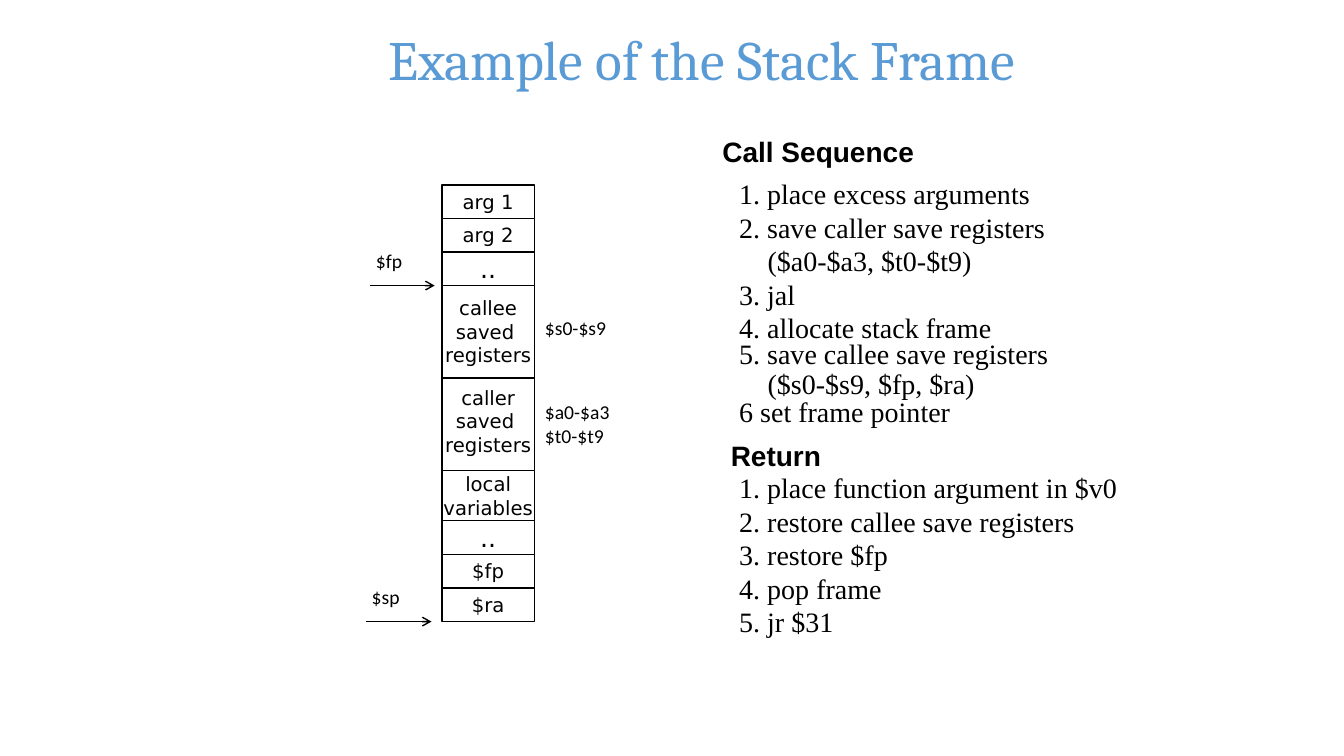
from dataclasses import dataclass
from itertools import accumulate

from pptx import Presentation
from pptx.dml.color import RGBColor
from pptx.enum.shapes import MSO_CONNECTOR, MSO_SHAPE
from pptx.enum.text import MSO_ANCHOR, MSO_AUTO_SIZE, PP_ALIGN
from pptx.oxml.ns import qn
from pptx.slide import Slide
from pptx.text.text import TextFrame
from pptx.util import Emu, Pt
from lxml.etree import SubElement


@dataclass(frozen=True)
class Face:
    font: str
    size: float
    color: str = "000000"
    bold: bool = False


@dataclass(frozen=True)
class Theme:
    title: Face = Face("Cambria", 39.6, "5B9BD5")
    head: Face = Face("Arial", 20, bold=True)
    step: Face = Face("Times New Roman", 20)
    cell: Face = Face("DejaVu Sans", 14)
    dots: Face = Face("DejaVu Sans", 18)
    note: Face = Face("Calibri", 14)
    line: str = "000000"
    weight: float = 1


THEME = Theme()


@dataclass(frozen=True)
class Label:
    text: str
    left: int
    top: int
    width: int
    height: int = 33
    face: Face = THEME.step
    pad: tuple[int, int] = (0, 0)
    indent: int = 0


@dataclass(frozen=True)
class Cell:
    text: str
    height: int = 32
    face: Face = THEME.cell
    lift: int = 0


@dataclass(frozen=True)
class Arrow:
    left: int
    top: int
    length: int = 62


def px(count: int) -> Emu:
    return Emu(count * 9525)


def rgb(color: str) -> RGBColor:
    return RGBColor.from_string(color)


def write(frame: TextFrame, text: str, face: Face, align: PP_ALIGN = PP_ALIGN.LEFT) -> None:
    frame.text = text
    for para in frame.paragraphs:
        para.alignment = align
        para.font.name = face.font
        para.font.size = Pt(face.size)
        para.font.bold = face.bold
        para.font.color.rgb = rgb(face.color)


def draw_title(slide: Slide, text: str) -> None:
    title = slide.shapes.title
    title.left, title.top, title.width, title.height = map(px, (360, 24, 704, 64))
    frame = title.text_frame
    frame.auto_size = MSO_AUTO_SIZE.NONE
    frame.vertical_anchor = MSO_ANCHOR.MIDDLE
    write(frame, text, THEME.title)


def draw_label(slide: Slide, label: Label) -> None:
    box = slide.shapes.add_textbox(*map(px, (label.left, label.top, label.width, label.height)))
    frame = box.text_frame
    frame.word_wrap = True
    frame.auto_size = MSO_AUTO_SIZE.NONE
    side, edge = label.pad
    frame.margin_left = px(side + label.indent)
    frame.margin_right = px(0)
    frame.margin_top = frame.margin_bottom = px(edge)
    write(frame, label.text, label.face)


def draw_cell(slide: Slide, cell: Cell, top: int) -> None:
    box = slide.shapes.add_shape(MSO_SHAPE.RECTANGLE, *map(px, (421, top, 88, cell.height)))
    box.shadow.inherit = False
    box.fill.background()
    box.line.color.rgb = rgb(THEME.line)
    box.line.width = Pt(THEME.weight)
    frame = box.text_frame
    frame.word_wrap = False
    frame.vertical_anchor = MSO_ANCHOR.MIDDLE
    frame.margin_bottom = px(5 + 2 * cell.lift)
    write(frame, cell.text, cell.face, PP_ALIGN.CENTER)


def draw_arrow(slide: Slide, arrow: Arrow) -> None:
    ends = (arrow.left, arrow.top, arrow.left + arrow.length, arrow.top)
    line = slide.shapes.add_connector(MSO_CONNECTOR.STRAIGHT, *map(px, ends))
    line.line.color.rgb = rgb(THEME.line)
    line.line.width = Pt(THEME.weight)
    props = line._element.spPr
    SubElement(props.find(qn("a:ln")), qn("a:tailEnd"), type="arrow")
    SubElement(props, qn("a:effectLst"))


STEP_X = 704
INDENT = 27
STACK_TOP = 176

HEADS = [
    Label("Call Sequence", 688, 128, 192, face=THEME.head),
    Label("Return", 696, 418, 96, face=THEME.head),
]
STEPS = [
    Label("1. place excess arguments", STEP_X, 168, 286),
    Label("2. save caller save registers", STEP_X, 200, 302),
    Label("($a0-$a3, $t0-$t9)", STEP_X, 232, 232, indent=INDENT),
    Label("3. jal", STEP_X, 264, 62),
    Label("4. allocate stack frame", STEP_X, 296, 250),
    Label("5. save callee save registers", STEP_X, 320, 310),
    Label("($s0-$s9, $fp, $ra)", STEP_X, 349, 234, indent=INDENT),
    Label("6 set frame pointer", STEP_X, 376, 212),
    Label("1. place function argument in $v0", STEP_X, 448, 370),
    Label("2. restore callee save registers", STEP_X, 480, 330),
    Label("3. restore $fp", STEP_X, 512, 150),
    Label("4. pop frame", STEP_X, 544, 146),
    Label("5. jr $31", STEP_X, 576, 98),
]
STACK = [
    Cell("arg 1"),
    Cell("arg 2"),
    Cell("..", face=THEME.dots),
    Cell("callee\nsaved \nregisters", 88),
    Cell("caller\nsaved \nregisters", 88, lift=3),
    Cell("local\nvariables", 48),
    Cell("..", face=THEME.dots),
    Cell("$fp"),
    Cell("$ra"),
]
NOTES = [
    Label("$s0-$s9", 509, 296, 80, face=THEME.note, pad=(10, 5)),
    Label("$a0-$a3\n$t0-$t9", 509, 376, 82, 55, THEME.note, (10, 5)),
    Label("$fp", 348, 232, 46, face=THEME.note, pad=(10, 5)),
    Label("$sp", 344, 552, 46, face=THEME.note, pad=(10, 5)),
]
ARROWS = [Arrow(352, 272), Arrow(349, 592)]


def main() -> None:
    deck = Presentation()
    deck.slide_width, deck.slide_height = px(1280), px(720)
    slide = deck.slides.add_slide(deck.slide_layouts[5])
    draw_title(slide, "Example of the Stack Frame")
    for label in HEADS + STEPS:
        draw_label(slide, label)
    tops = accumulate((cell.height for cell in STACK), initial=STACK_TOP)
    for cell, top in zip(STACK, tops):
        draw_cell(slide, cell, top)
    for note in NOTES:
        draw_label(slide, note)
    for arrow in ARROWS:
        draw_arrow(slide, arrow)
    deck.save("out.pptx")


if __name__ == "__main__":
    main()
